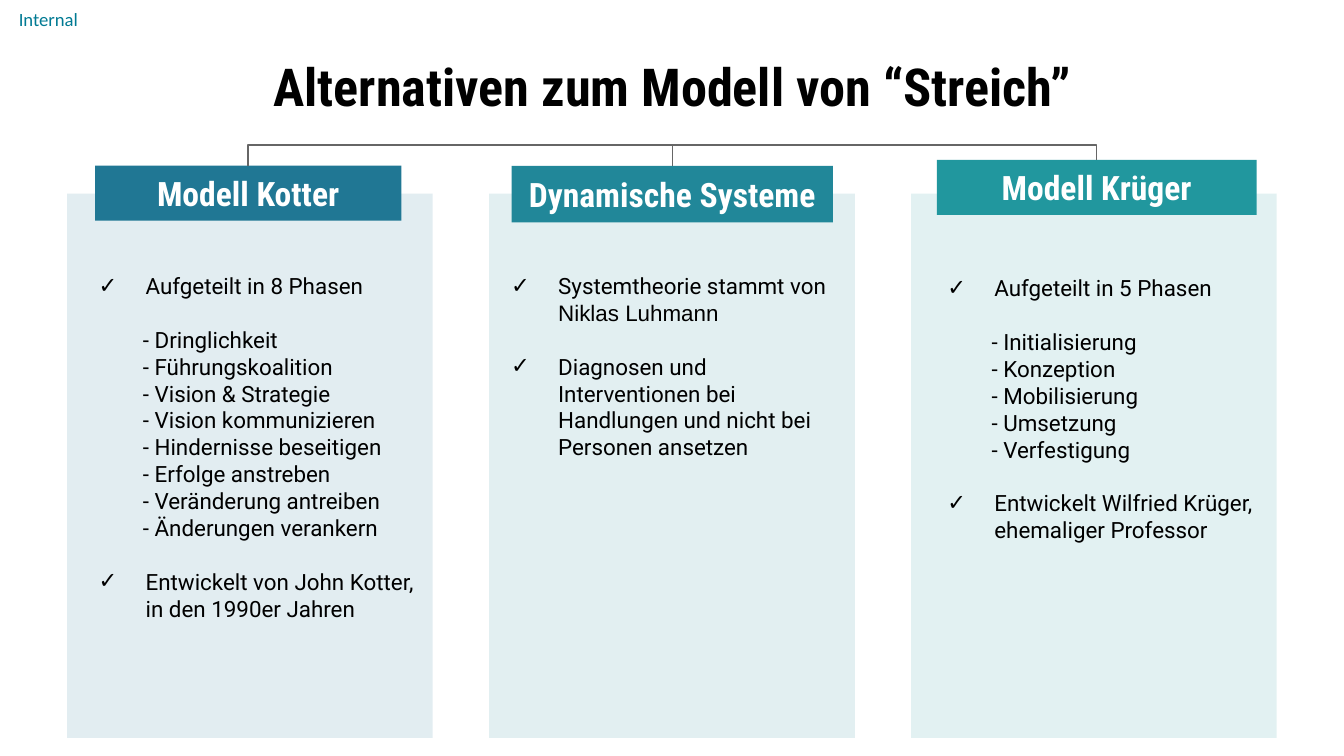
from dataclasses import dataclass

from lxml.etree import SubElement
from pptx import Presentation
from pptx.dml.color import RGBColor
from pptx.enum.shapes import MSO_CONNECTOR as Link, MSO_SHAPE as Form
from pptx.enum.text import MSO_ANCHOR as Anchor, PP_ALIGN as Align
from pptx.oxml.ns import qn
from pptx.util import Inches, Pt

CELL = Inches(0.1)  # the slide is a grid of 100 by 56.25 cells


@dataclass(frozen=True)
class Theme:
    ink: str = "000000"
    pale: str = "FFFFFF"
    tag: str = "007A93"
    line: str = "666666"
    hues: tuple = ("207794", "218799", "21979E")
    tint: int = 13
    head: str = "Roboto Condensed"
    body: str = "Roboto"
    plain: str = "Arial"
    small: str = "Calibri"
    title_pt: int = 28
    head_pt: int = 18
    body_pt: int = 12
    tag_pt: int = 10
    gap_pt: float = 14.4
    line_pt: float = 0.75


THEME = Theme()

# Column: title, head box and text box relative to the panel, items
COLS = [
    ("Modell Kotter", (2.07, -2.07, 22.8, 4.1), (-0.15, 4.85, 27.2, 35.7),
     ["Aufgeteilt in 8 Phasen", "- Dringlichkeit", "- Führungskoalition",
      "- Vision & Strategie", "- Vision kommunizieren",
      "- Hindernisse beseitigen", "- Erfolge anstreben",
      "- Veränderung antreiben", "- Änderungen verankern",
      "Entwickelt von John Kotter, in den 1990er Jahren"]),
    ("Dynamische Systeme", (1.67, -2.05, 23.9, 4.2), (-0.85, 4.85, 29, 35.7),
     [("Systemtheorie stammt von ", "Niklas Luhmann"),
      "Diagnosen und Interventionen bei Handlungen und nicht bei "
      "Personen ansetzen"]),
    ("Modell Krüger", (1.9, -2.5, 23.8, 4.1), (0.2, 5.03, 27.2, 35.5),
     ["Aufgeteilt in 5 Phasen", "- Initialisierung", "- Konzeption",
      "- Mobilisierung", "- Umsetzung", "- Verfestigung",
      "Entwickelt Wilfried Krüger, ehemaliger Professor"]),
]


def cells(*nums):
    return [round(num * CELL) for num in nums]


def rgb(hue):
    return RGBColor.from_string(hue)


def within(box, part):
    """Turn a part's place inside a box into a place on the slide."""
    return box[0] + part[0], box[1] + part[1], part[2], part[3]


def write(para, text, font=THEME.body, size=THEME.body_pt, hue=THEME.ink,
          bold=False, align=Align.LEFT):
    para.alignment = align
    run = para.add_run()
    run.text = text
    run.font.name, run.font.size, run.font.bold = font, Pt(size), bold
    run.font.color.rgb = rgb(hue)


def frame(shape, inset=1, anchor=Anchor.MIDDLE):
    area = shape.text_frame
    area.word_wrap = True
    area.vertical_anchor = anchor
    area.margin_left = area.margin_right = round(inset * CELL)
    area.margin_top = area.margin_bottom = round(inset * CELL)
    return area


def label(slide, box, text, inset=1, **style):
    area = frame(slide.shapes.add_textbox(*cells(*box)), inset)
    write(area.paragraphs[0], text, **style)


def block(slide, box, hue, tint=None):
    shape = slide.shapes.add_shape(Form.RECTANGLE, *cells(*box))
    shape.shadow.inherit = False
    shape.fill.solid()
    shape.fill.fore_color.rgb = rgb(hue)
    shape.line.fill.background()
    if tint:
        clr = shape.fill._xPr.find(".//" + qn("a:srgbClr"))
        SubElement(clr, qn("a:alpha"), val=str(tint * 1000))
    return shape


def indent(para, left, first=0, mark=None):
    props = para._p.get_or_add_pPr()
    props.set("marL", str(Inches(left)))
    props.set("indent", str(Inches(first)))
    if mark:
        clr = SubElement(props, qn("a:buClr"))
        SubElement(clr, qn("a:srgbClr"), val=THEME.ink)
        SubElement(props, qn("a:buFont"), typeface=THEME.body)
        SubElement(props, qn("a:buChar"), char=mark)


def points(slide, box, items):
    """List ticked points and dashed steps, with a gap around each group."""
    area = frame(slide.shapes.add_textbox(*cells(*box)), anchor=Anchor.TOP)
    was_step = False
    for num, item in enumerate(items):
        para = area.add_paragraph() if num else area.paragraphs[0]
        parts = (item,) if isinstance(item, str) else item
        step = parts[0].startswith("- ")
        if step:
            indent(para, 0.48)
        else:
            indent(para, 0.5, -0.35, "✓")
        if num and not (step and was_step):
            para.space_before = Pt(THEME.gap_pt)
        for part, font in zip(parts, (THEME.body, THEME.plain)):
            write(para, part, font=font)
        was_step = step


def column(slide, box, hue, title, head, body, items):
    """Draw a tinted panel with its list and return its head."""
    block(slide, box, hue, THEME.tint)
    points(slide, within(box, body), items)
    bar = block(slide, within(box, head), hue)
    write(frame(bar).paragraphs[0], title, font=THEME.head,
          size=THEME.head_pt, hue=THEME.pale, bold=True, align=Align.CENTER)
    return bar


def join(slide, start, bar, bent):
    """Link a point to the top of a head, across and then down if bent."""
    kind = Link.ELBOW if bent else Link.STRAIGHT
    link = slide.shapes.add_connector(kind, *start, *start)
    link.end_connect(bar, 0)
    link.line.color.rgb = rgb(THEME.line)
    link.line.width = Pt(THEME.line_pt)
    props = link._element.spPr
    SubElement(props, qn("a:effectLst"))
    if bent:
        props.find(qn("a:prstGeom")).set("prst", "bentConnector2")


def tree(slide, bars, top):
    mid = bars[1].left + bars[1].width // 2
    for num, bar in enumerate(bars):
        join(slide, (mid, round(top * CELL)), bar, num != 1)


def main():
    deck = Presentation()
    deck.slide_width, deck.slide_height = cells(100, 56.25)
    slide = deck.slides.add_slide(deck.slide_layouts[6])
    label(slide, (1.4, 0, 5.9, 2.8), "Internal", inset=0, font=THEME.small,
          size=THEME.tag_pt, hue=THEME.tag)
    label(slide, (5, 4.3, 90, 4.1), "Alternativen zum Modell von “Streich”",
          font=THEME.head, size=THEME.title_pt, bold=True,
          align=Align.CENTER)
    bars = [column(slide, (5 + 31.4 * num, 14.4, 27.2, 40.5), hue, *col)
            for num, (hue, col) in enumerate(zip(THEME.hues, COLS))]
    tree(slide, bars, 10.8)
    deck.save("out.pptx")


if __name__ == "__main__":
    main()
